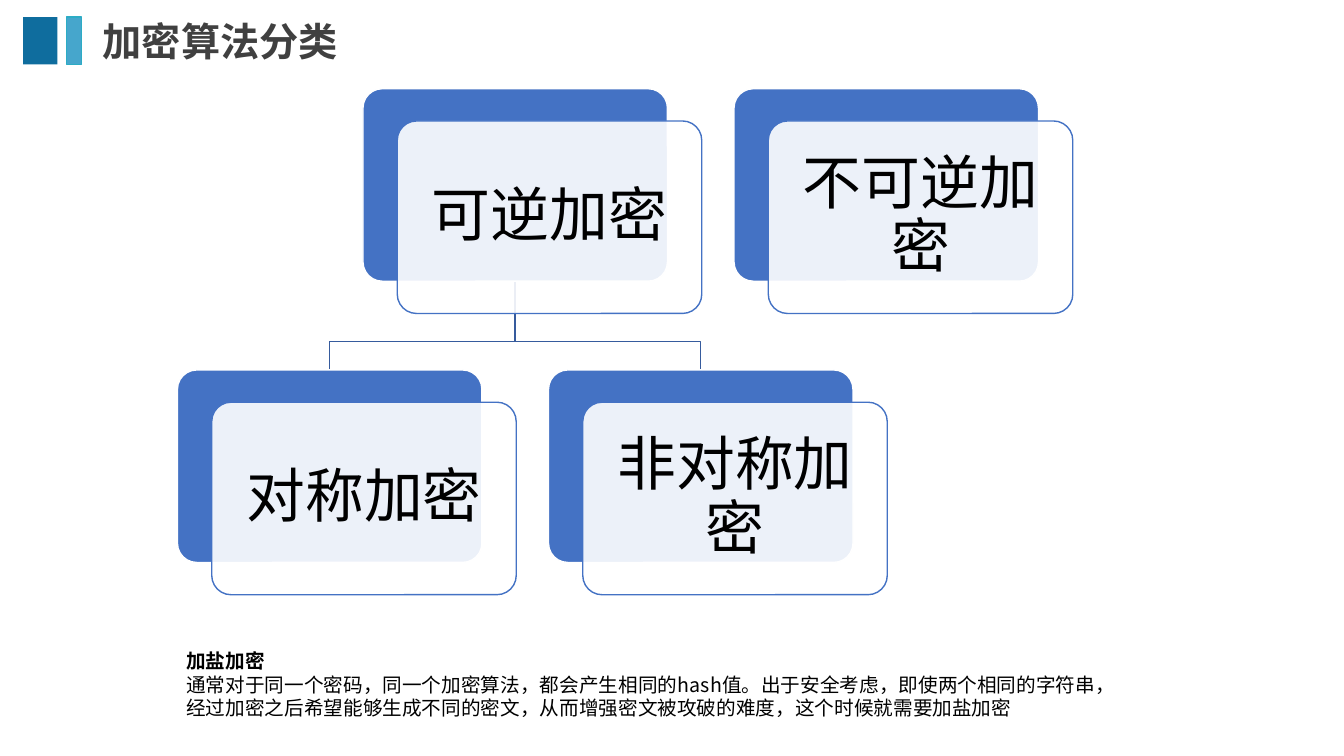
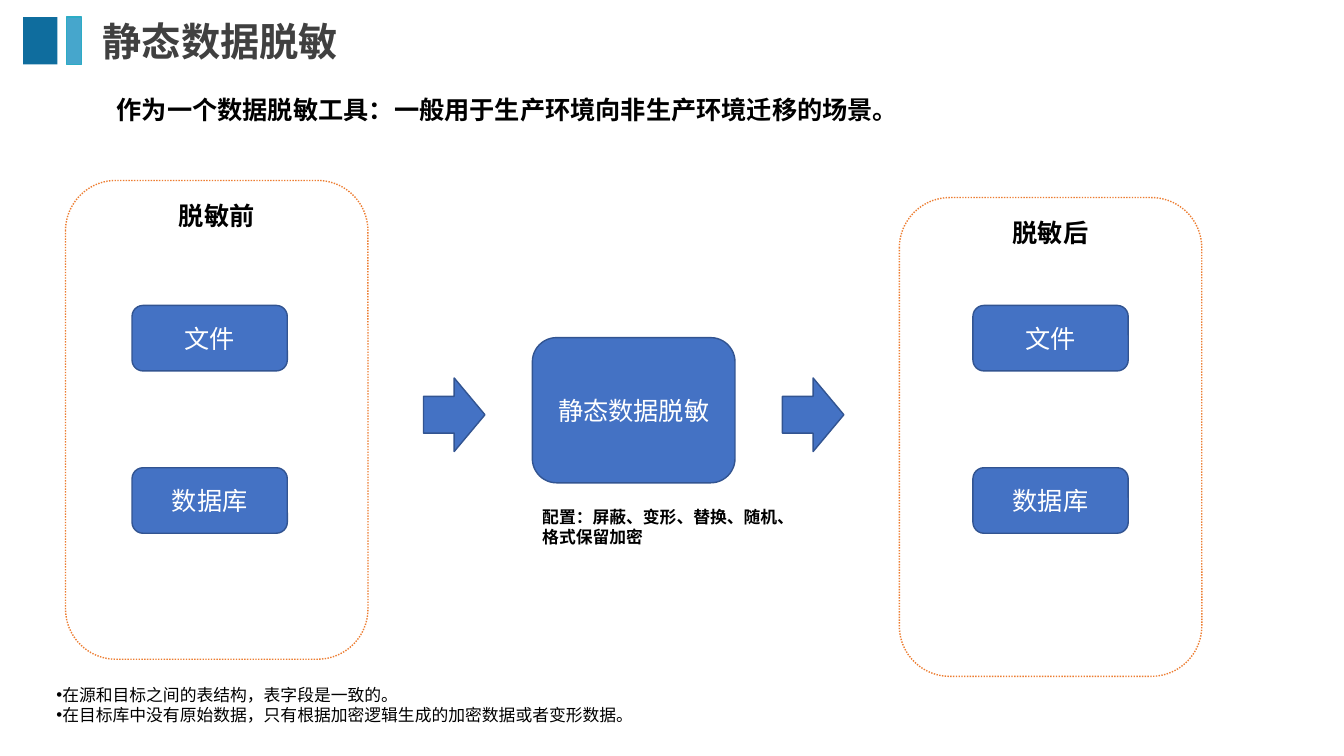
from dataclasses import dataclass

from lxml.etree import SubElement
from pptx import Presentation
from pptx.dml.color import RGBColor
from pptx.enum.dml import MSO_LINE
from pptx.enum.shapes import MSO_SHAPE as Geo
from pptx.enum.text import MSO_ANCHOR as Anchor, MSO_AUTO_SIZE as AutoSize, PP_ALIGN as Align
from pptx.oxml.ns import qn
from pptx.shapes.autoshape import Shape
from pptx.slide import Slide
from pptx.text.text import TextFrame
from pptx.util import Inches, Pt


@dataclass(frozen=True)
class Theme:
    primary: str = "4472C4"
    edge: str = "325491"
    branch: str = "365B9D"
    panel: str = "ED7D31"
    bar_dark: str = "0F6D9E"
    bar_light: str = "46A6CC"
    bar_edge: str = "2CACC5"
    title: str = "404040"
    black: str = "000000"
    white: str = "FFFFFF"
    font: str = "Noto Sans CJK SC"
    title_font: str = "TeX Gyre Adventor"
    title_size: int = 28
    card_size: int = 42
    label_size: int = 18
    note_size: int = 14
    small_size: int = 12


@dataclass(frozen=True)
class Box:
    x: float
    y: float
    w: float
    h: float

    def inches(self) -> tuple:
        return Inches(self.x), Inches(self.y), Inches(self.w), Inches(self.h)


@dataclass(frozen=True)
class Card:
    text: str
    col: int
    row: int

    @property
    def back(self) -> Box:
        return Box(1.76 + 1.84 * self.col, 0.88 + 2.79 * self.row, 3.02, 1.91)

    @property
    def front(self) -> Box:
        b = self.back
        return Box(b.x + 0.34, b.y + 0.32, b.w, b.h)

    @property
    def center(self) -> float:
        return self.back.x + self.back.w / 2


@dataclass(frozen=True)
class Panel:
    text: str
    x: float
    y: float
    item_x: float


T = Theme()
ROOT = Card("可逆加密", 1, 0)
CHILDREN = (Card("对称加密", 0, 1), Card("非对称加密", 2, 1))
CARDS = (ROOT, *CHILDREN, Card("不可逆加密", 3, 0))
PANELS = (Panel("脱敏前", 0.65, 1.79, 1.31), Panel("脱敏后", 8.92, 1.96, 9.65))
PANEL_ITEMS = ("文件", "数据库")


def rgb(value: str) -> RGBColor:
    return RGBColor.from_string(value)


def write(tf: TextFrame, *lines: str, size: int = T.label_size, color: str = T.black,
          bold: bool = False, first_bold: bool = False, font: str = T.font,
          align: Align = Align.LEFT, anchor: Anchor = Anchor.TOP,
          spacing: float = 1.0, wrap: bool = True, bullet: str = "") -> None:
    tf.word_wrap = wrap
    tf.auto_size = AutoSize.NONE
    tf.vertical_anchor = anchor
    for i, line in enumerate(lines):
        p = tf.paragraphs[0] if i == 0 else tf.add_paragraph()
        p.alignment = align
        p.line_spacing = spacing
        p.space_before = Pt(0)
        if bullet:
            pPr = p._p.get_or_add_pPr()
            pPr.set("marL", "0")
            pPr.set("indent", "0")
            SubElement(pPr, qn("a:buChar")).set("char", bullet)
        r = p.add_run()
        r.text = line
        r.font.size = Pt(size)
        r.font.bold = bold or (first_bold and i == 0)
        r.font.color.rgb = rgb(color)
        r.font.name = font
        SubElement(r._r.get_or_add_rPr(), qn("a:ea")).set("typeface", T.font)


def add_box(s: Slide, geo: Geo, box: Box, fill: str = "", line: str = "",
            alpha: int = 100) -> Shape:
    sp = s.shapes.add_shape(geo, *box.inches())
    sp.shadow.inherit = False
    if fill:
        sp.fill.solid()
        sp.fill.fore_color.rgb = rgb(fill)
        if alpha < 100:
            color = sp.fill._xPr.find(qn("a:solidFill"))[0]
            SubElement(color, qn("a:alpha")).set("val", str(alpha * 1000))
    else:
        sp.fill.background()
    if line:
        sp.line.color.rgb = rgb(line)
        sp.line.width = Pt(1)
    else:
        sp.line.fill.background()
    return sp


def add_label(s: Slide, box: Box, *lines: str, **style) -> None:
    write(s.shapes.add_textbox(*box.inches()).text_frame, *lines, **style)


def place(sp: Shape, box: Box) -> None:
    sp.left, sp.top, sp.width, sp.height = box.inches()


def add_slide(prs: Presentation, layout: int, title: str) -> Slide:
    s = prs.slides.add_slide(prs.slide_layouts[layout])
    add_box(s, Geo.RECTANGLE, Box(0.23, 0.17, 0.34, 0.47), T.bar_dark)
    add_box(s, Geo.RECTANGLE, Box(0.66, 0.17, 0.15, 0.47), T.bar_light, T.bar_edge)
    place(s.shapes.title, Box(0.92, 0.17, 11.12, 0.53))
    write(s.shapes.title.text_frame, title, size=T.title_size, color=T.title, bold=True,
          font=T.title_font, anchor=Anchor.MIDDLE, spacing=0.9)
    return s


def add_branch(s: Slide, parent: Card, child: Card) -> None:
    top, bottom = parent.back.y + parent.back.h, child.back.y
    bend = bottom - 0.28
    points = [(parent.center, bend), (child.center, bend), (child.center, bottom)]
    fb = s.shapes.build_freeform(Inches(parent.center), Inches(top))
    fb.add_line_segments([(Inches(x), Inches(y)) for x, y in points], close=False)
    sp = fb.convert_to_shape()
    sp.shadow.inherit = False
    sp.fill.background()
    sp.line.color.rgb = rgb(T.branch)
    sp.line.width = Pt(1)


def add_card(s: Slide, card: Card) -> None:
    back = add_box(s, Geo.ROUNDED_RECTANGLE, card.back, T.primary, T.white)
    front = add_box(s, Geo.ROUNDED_RECTANGLE, card.front, T.white, T.primary, alpha=90)
    for sp in (back, front):
        sp.adjustments[0] = 0.1
    tf = front.text_frame
    tf.margin_left = tf.margin_right = tf.margin_top = tf.margin_bottom = Inches(0.17)
    write(tf, card.text, size=T.card_size, align=Align.CENTER, anchor=Anchor.MIDDLE,
          spacing=0.9)


def add_node(s: Slide, box: Box, text: str) -> None:
    sp = add_box(s, Geo.ROUNDED_RECTANGLE, box, T.primary, T.edge)
    write(sp.text_frame, text, color=T.white, align=Align.CENTER, anchor=Anchor.MIDDLE)


def add_panel(s: Slide, panel: Panel) -> None:
    sp = add_box(s, Geo.ROUNDED_RECTANGLE, Box(panel.x, panel.y, 3, 4.75), line=T.panel)
    sp.line.dash_style = MSO_LINE.ROUND_DOT
    write(sp.text_frame, panel.text, bold=True, align=Align.CENTER)
    for i, text in enumerate(PANEL_ITEMS):
        add_node(s, Box(panel.item_x, 3.03 + 1.61 * i, 1.54, 0.65), text)


def build_encryption(prs: Presentation) -> None:
    s = add_slide(prs, 5, "加密算法分类")
    for child in reversed(CHILDREN):
        add_branch(s, ROOT, child)
    for card in CARDS:
        add_card(s, card)
    add_label(s, Box(1.75, 6.39, 11.5, 0.81), "加盐加密",
              "通常对于同一个密码，同一个加密算法，都会产生相同的hash值。出于安全考虑，即使两个相同的字符串，",
              "经过加密之后希望能够生成不同的密文，从而增强密文被攻破的难度，这个时候就需要加盐加密",
              size=T.note_size, first_bold=True)


def build_masking(prs: Presentation) -> None:
    s = add_slide(prs, 1, "静态数据脱敏")
    add_label(s, Box(1.06, 0.89, 8.03, 0.4),
              "作为一个数据脱敏工具：一般用于生产环境向非生产环境迁移的场景。",
              bold=True, wrap=False)
    for panel in PANELS:
        add_panel(s, panel)
    add_node(s, Box(5.28, 3.35, 2.01, 1.44), "静态数据脱敏")
    for x in (4.2, 7.76):
        add_box(s, Geo.RIGHT_ARROW, Box(x, 3.75, 0.61, 0.73), T.primary, T.edge)
    add_label(s, Box(5.28, 4.98, 2.73, 0.5), "配置：屏蔽、变形、替换、随机、", "格式保留加密",
              size=T.small_size, bold=True, wrap=False)
    body = s.placeholders[1]
    place(body, Box(0.46, 6.74, 6.67, 0.5))
    write(body.text_frame, "在源和目标之间的表结构，表字段是一致的。",
          "在目标库中没有原始数据，只有根据加密逻辑生成的加密数据或者变形数据。",
          size=T.small_size, bullet="•")


def main() -> None:
    prs = Presentation()
    prs.slide_width, prs.slide_height = Inches(13.33), Inches(7.5)
    build_encryption(prs)
    build_masking(prs)
    prs.save("out.pptx")


if __name__ == "__main__":
    main()
